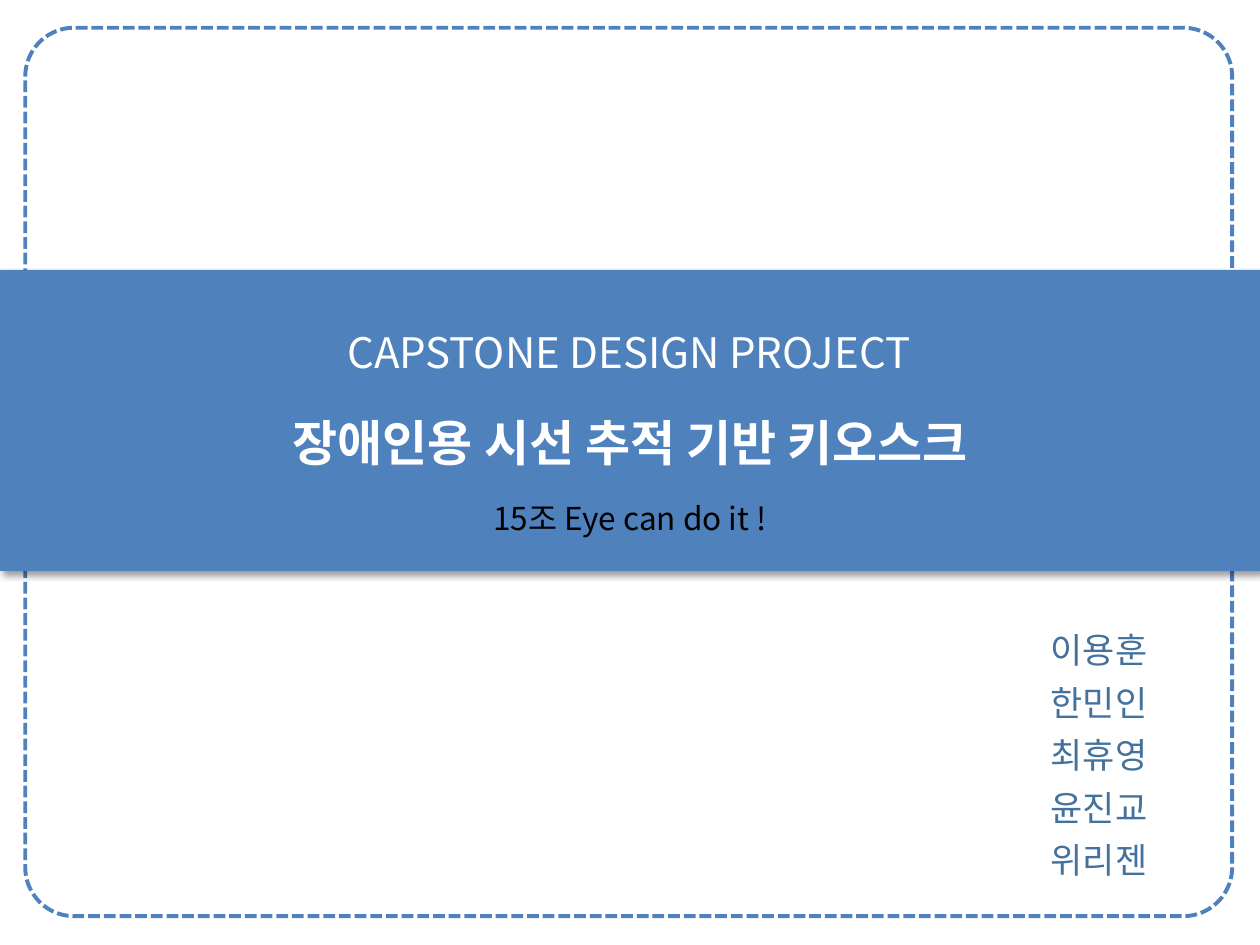
"""Builds the title slide of a capstone design project."""
import lxml.etree
import pptx
import pptx.dml.color
import pptx.enum.dml
import pptx.enum.shapes
import pptx.enum.text
import pptx.oxml
import pptx.oxml.ns
import pptx.util

Cm = pptx.util.Cm
Pt = pptx.util.Pt
MSO_SHAPE = pptx.enum.shapes.MSO_SHAPE
PP_ALIGN = pptx.enum.text.PP_ALIGN
MSO_ANCHOR = pptx.enum.text.MSO_ANCHOR
FONT = "Noto Sans CJK KR"
BLUE = "4F81BD"


def rgb(value):
    return pptx.dml.color.RGBColor.from_string(value)


def add_text(s, box, lines, size, color, bold=False, align=PP_ALIGN.CENTER,
             anchor=MSO_ANCHOR.MIDDLE, spacing=None):
    tf = s.shapes.add_textbox(*[Cm(v) for v in box]).text_frame
    tf.word_wrap = True
    tf.vertical_anchor = anchor
    for i, line in enumerate(lines):
        p = tf.add_paragraph() if i else tf.paragraphs[0]
        p.alignment = align
        p.line_spacing = spacing
        r = p.add_run()
        r.text = line
        r.font.size = Pt(size)
        r.font.bold = bold
        r.font.color.rgb = rgb(color)
        r.font.name = FONT
        ea = lxml.etree.SubElement(r.font._element, pptx.oxml.ns.qn("a:ea"))
        ea.set("typeface", FONT)


prs = pptx.Presentation()
prs.slide_width = Cm(25.4)
prs.slide_height = Cm(19.05)
s = prs.slides.add_slide(prs.slide_layouts[6])

frame = s.shapes.add_shape(MSO_SHAPE.ROUNDED_RECTANGLE, Cm(0.51), Cm(0.56), Cm(24.33), Cm(17.91))
frame.adjustments[0] = 0.055
frame.shadow.inherit = False
frame.fill.background()
frame.line.color.rgb = rgb(BLUE)
frame.line.width = Pt(2.25)
frame.line.dash_style = pptx.enum.dml.MSO_LINE.SQUARE_DOT

band = s.shapes.add_shape(MSO_SHAPE.RECTANGLE, 0, Cm(5.44), prs.slide_width, Cm(6.07))
band.fill.solid()
band.fill.fore_color.rgb = rgb(BLUE)
band.line.fill.background()
band._element.spPr.append(pptx.oxml.parse_xml(
    f'<a:effectLst {pptx.oxml.ns.nsdecls("a")}>'
    '<a:outerShdw blurRad="50800" dist="38100" dir="2700000" algn="tl" rotWithShape="0">'
    '<a:srgbClr val="000000"><a:alpha val="40000"/></a:srgbClr>'
    '</a:outerShdw></a:effectLst>'))

add_text(s, (4.45, 8.18, 16.51, 1.45), ["장애인용 시선 추적 기반 키오스크"], 28, "FFFFFF", bold=True)
add_text(s, (6.5, 9.93, 12.4, 1.02), ["15조 Eye can do it !"], 18, "000000")
add_text(s, (5.87, 6.45, 13.61, 1.27), ["CAPSTONE DESIGN PROJECT"], 24, "FFFFFF")
add_text(s, (20.93, 12.34, 3.33, 4.5), ["이용훈", "한민인", "최휴영", "윤진교", "위리젠"], 20, "43729D",
         align=PP_ALIGN.LEFT, anchor=MSO_ANCHOR.TOP, spacing=Pt(30))

prs.save("out.pptx")
